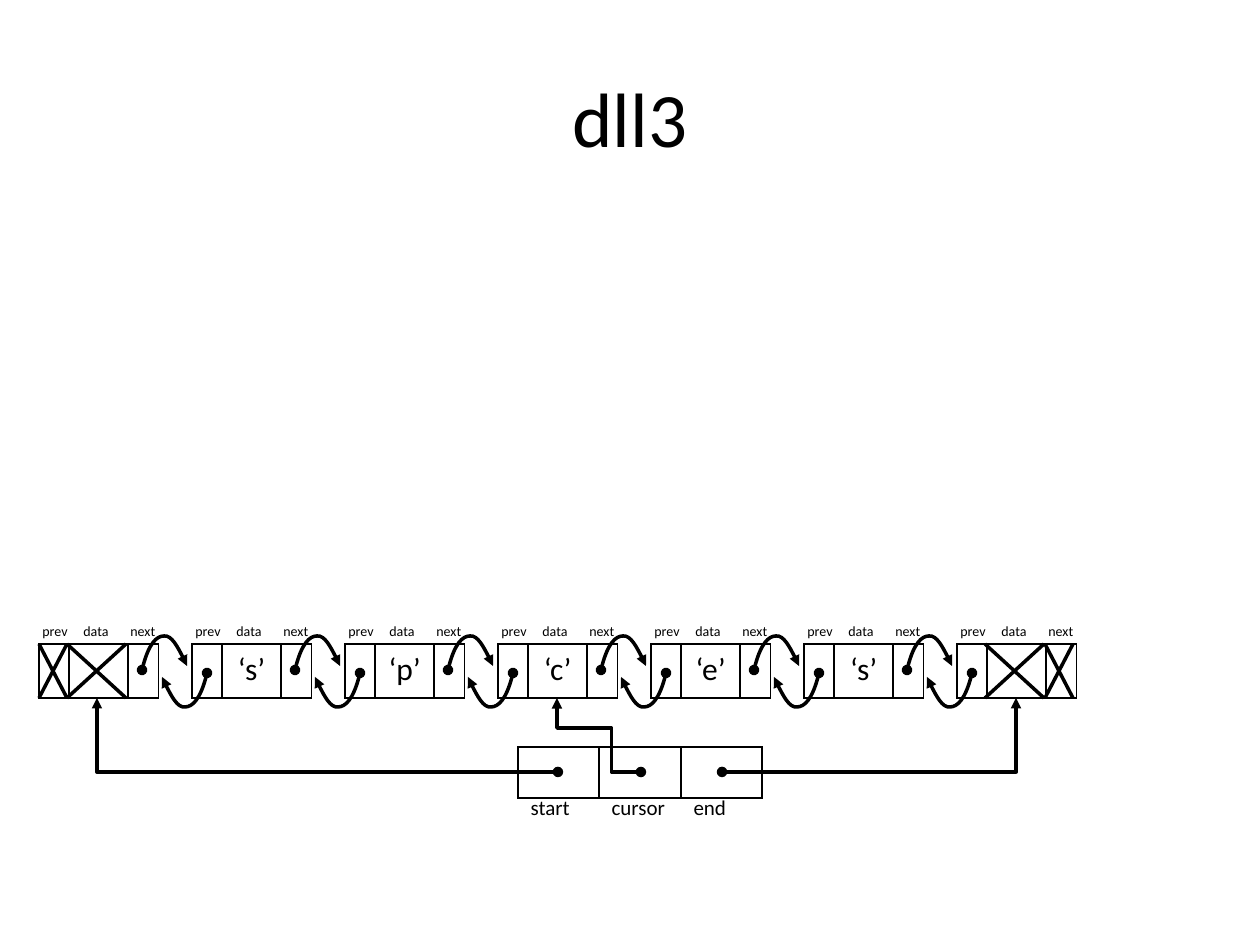
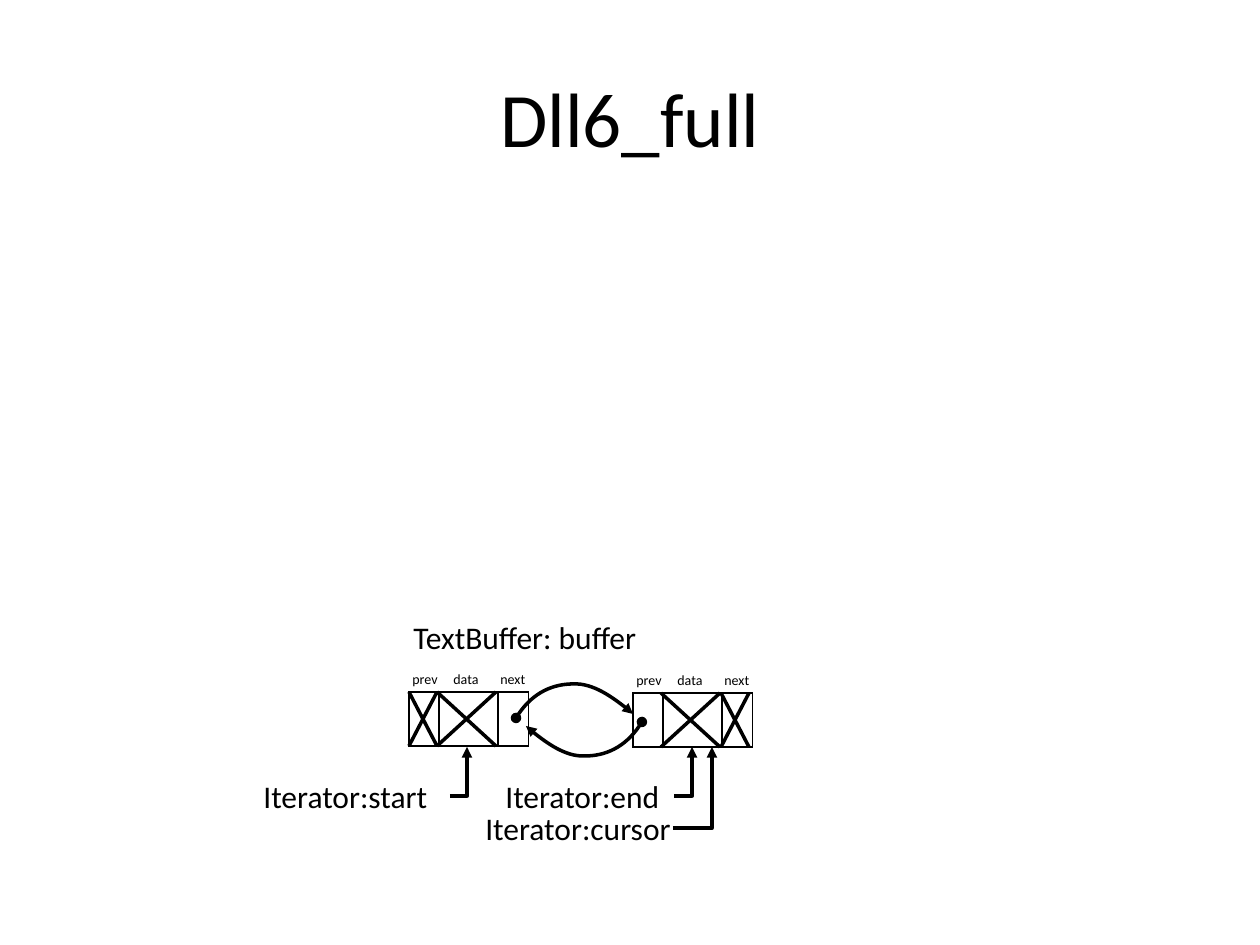
from dataclasses import dataclass
from lxml.etree import SubElement as Sub
from pptx import Presentation
from pptx.dml.color import RGBColor as RGB
from pptx.enum.shapes import MSO_CONNECTOR as Link
from pptx.enum.text import MSO_ANCHOR as Anchor, MSO_AUTO_SIZE as Fit, PP_ALIGN as Align
from pptx.oxml import parse_xml
from pptx.oxml.ns import nsdecls, qn
from pptx.util import Emu, Inches, Pt

SCALE = Inches(1) / 126


@dataclass(frozen=True)
class Theme:
    ink: RGB = RGB(0, 0, 0)
    paper: RGB = RGB(255, 255, 255)
    font: str = "Calibri"
    title: int = 44
    body: int = 18
    label: int = 12
    small: int = 8
    stroke: int = 2
    rule: int = 1


THEME = Theme()
COLS = (30, 59, 30)
TALL = 54
CROSS = {"prev": (0, 28), "data": (28, 87), "next": (88, 116)}
FIELDS = {"prev": -9, "data": 32, "next": 79}
CURVE = ((0, 0), (0.13, -25), (0.32, -34), (0.49, -34), (0.66, -35), (0.92, -13), (1, -4))


def px(*nums):
    return [Emu(round(n * SCALE)) for n in nums]


def style(para, size, align=Align.LEFT):
    para.alignment = align
    para.font.name = THEME.font
    para.font.size = Pt(size)
    para.font.color.rgb = THEME.ink


def head(slide, text):
    title = slide.shapes.title
    title.left, title.top, title.width, title.height = px(63, 38, 1134, 157)
    title.text_frame.text = text
    title.text_frame.vertical_anchor = Anchor.MIDDLE
    style(title.text_frame.paragraphs[0], THEME.title, Align.CENTER)


def write(slide, text, size, x, y, wide, tall, wrap=False):
    frame = slide.shapes.add_textbox(*px(x, y, wide, tall)).text_frame
    frame.word_wrap = wrap
    frame.auto_size = Fit.SHAPE_TO_FIT_TEXT
    frame.text = text
    style(frame.paragraphs[0], size)


def edge(cell, drawn):
    props = cell._tc.get_or_add_tcPr()
    fill = f'<a:solidFill><a:srgbClr val="{THEME.ink}"/></a:solidFill>' if drawn else "<a:noFill/>"
    for i, side in enumerate("LRTB"):
        props.insert(i, parse_xml(
            f'<a:ln{side} {nsdecls("a")} w="{Pt(THEME.rule)}">{fill}</a:ln{side}>'))


def grid(slide, x, y, cols, tall, texts, size, align, drawn=True):
    table = slide.shapes.add_table(1, len(cols), *px(x, y, sum(cols), tall)).table
    table.first_row = table.horz_banding = False
    table.rows[0].height = px(tall)[0]
    for i, (wide, text) in enumerate(zip(cols, texts)):
        table.columns[i].width = px(wide)[0]
        cell = table.cell(0, i)
        if drawn:
            cell.fill.solid()
            cell.fill.fore_color.rgb = THEME.paper
        else:
            cell.fill.background()
        edge(cell, drawn)
        cell.text = text
        style(cell.text_frame.paragraphs[0], size, align)


def pen(shape, dot=False, tip=False):
    shape.line.color.rgb = THEME.ink
    shape.line.width = Pt(THEME.stroke)
    line = shape.line._get_or_add_ln()
    if dot:
        Sub(line, qn("a:headEnd"), type="oval")
    if tip:
        Sub(line, qn("a:tailEnd"), type="triangle")


def wire(slide, kind, start, end, dot=False, tip=False, corner=False):
    link = slide.shapes.add_connector(kind, *px(*start, *end))
    pen(link, dot, tip)
    props = link._element.spPr
    Sub(props, qn("a:effectLst"))
    if corner:
        props.find(qn("a:prstGeom")).set("prst", "bentConnector2")


def bend(slide, start, end, dot=False):
    wire(slide, Link.ELBOW, start, end, dot, tip=True, corner=True)


def arc(slide, x, y, wide, sign):
    points = [px(x + sign * wide * across, y + sign * down) for across, down in CURVE]
    form = slide.shapes.build_freeform(*points[0])
    form.add_line_segments(points[1:], close=False)
    shape = form.convert_to_shape()
    shape.fill.background()
    shape.shadow.inherit = False
    pen(shape, dot=True, tip=True)
    route = next(shape._element.iter(qn("a:path")))
    steps = route.findall(qn("a:lnTo"))
    for i in range(0, len(steps), 3):
        curve = Sub(route, qn("a:cubicBezTo"))
        for step in steps[i:i + 3]:
            curve.append(step[0])
            route.remove(step)


def node(slide, x, y, text="", nulls=()):
    grid(slide, x, y, COLS, TALL, ("", text, ""), THEME.body, Align.CENTER)
    for name, shift in FIELDS.items():
        write(slide, name, THEME.small, x + shift, y - 28, 52, 30)
    for name in nulls:
        left, right = (x + n for n in CROSS[name])
        wire(slide, Link.STRAIGHT, (left, y + TALL), (right, y))
        wire(slide, Link.STRAIGHT, (right, y + TALL), (left, y))


def chain(slide, x, y, words):
    step = 153
    last = len(words) - 1
    nulls = {0: ("prev", "data"), last: ("data", "next")}
    for i, word in enumerate(words):
        node(slide, x + i * step, y, word, nulls.get(i, ()))
    for i in range(last):
        left = x + i * step
        arc(slide, left + 103, y + 26, 45, 1)
        arc(slide, left + step + 15, y + 29, 45, -1)


def store(slide, x, y):
    cols = (81, 82, 81)
    grid(slide, x, y, cols, 51, ("",) * 3, THEME.body, Align.LEFT)
    grid(slide, x, y + 42, cols, 50, ("start", "cursor", "end"),
         THEME.label, Align.LEFT, drawn=False)
    mid, top = y + 25, y - 49
    bend(slide, (x + 40, mid), (x - 421, top), dot=True)
    bend(slide, (x + 204, mid), (x + 498, top), dot=True)
    wire(slide, Link.ELBOW, (x + 123, mid), (x + 64, y - 19), dot=True)
    bend(slide, (x + 83, y - 19), (x + 39, top))


def pair(slide, x, y):
    write(slide, "TextBuffer: buffer", THEME.body, x - 8, y - 80, 630, 50, wrap=True)
    node(slide, x, y, nulls=("prev", "data"))
    node(slide, x + 224, y + 1, nulls=("data", "next"))
    arc(slide, x + 107, y + 26, 117, 1)
    arc(slide, x + 233, y + 30, 116, -1)


def marks(slide, x, y):
    for name, left, top, wide, start, end in (
        ("start", 0, 24, 198, 199, 216),
        ("end", 242, 24, 181, 423, 441),
        ("cursor", 222, 56, 213, 422, 461),
    ):
        write(slide, f"Iterator:{name}", THEME.body, x + left, y + top, wide, 50)
        bend(slide, (x + start, y + top + 25), (x + end, y))


def main():
    deck = Presentation()
    deck.slide_width, deck.slide_height = px(1260, 945)
    layout = deck.slide_layouts[5]

    full = deck.slides.add_slide(layout)
    head(full, "dll3")
    chain(full, 39, 644, ("", "‘s’", "‘p’", "‘c’", "‘e’", "‘s’", ""))
    store(full, 518, 747)

    bare = deck.slides.add_slide(layout)
    head(bare, "Dll6_full")
    pair(bare, 409, 692)
    marks(bare, 251, 747)

    deck.save("out.pptx")


if __name__ == "__main__":
    main()
